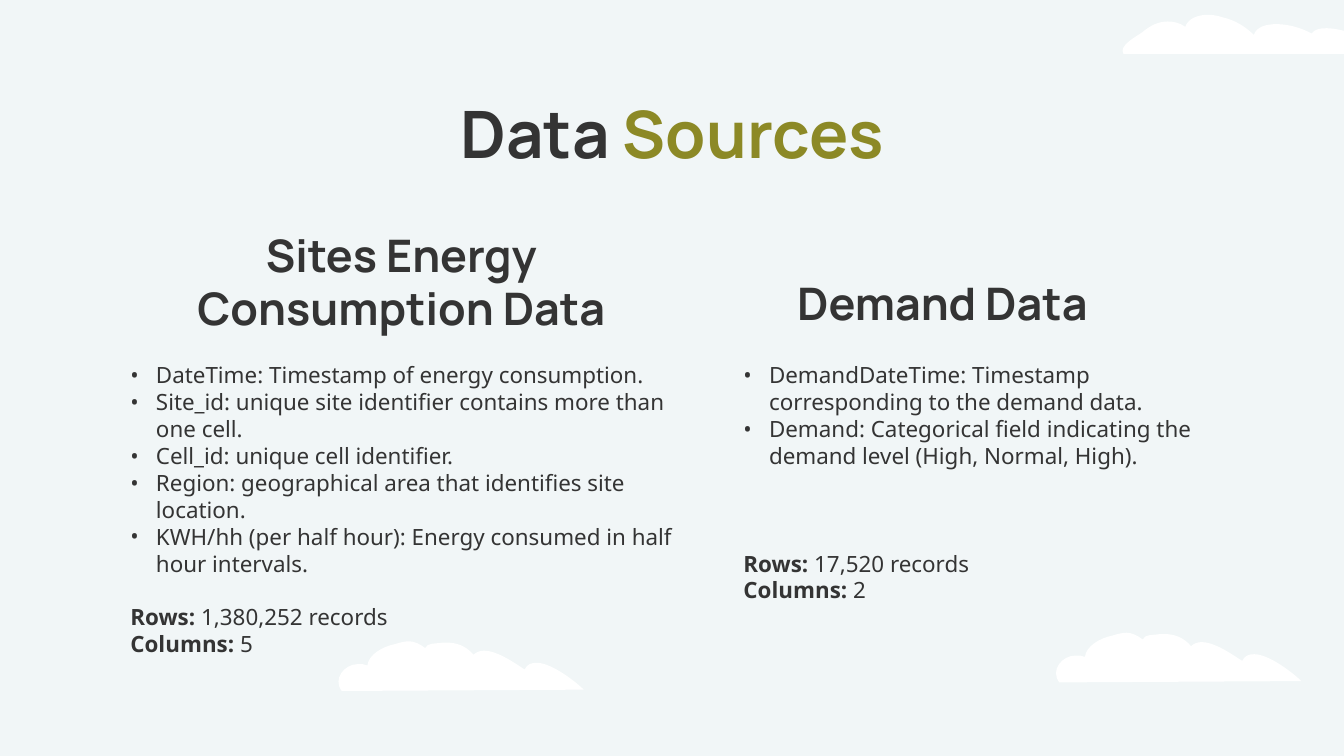
from lxml.etree import SubElement
from pptx import Presentation
from pptx.dml.color import RGBColor
from pptx.enum.text import MSO_ANCHOR as Anchor, PP_ALIGN as Align
from pptx.oxml.ns import qn
from pptx.util import Pt

SKY = RGBColor(0xF1, 0xF6, 0xF7)
INK = RGBColor(0x34, 0x34, 0x34)
OLIVE = RGBColor(0x8C, 0x89, 0x26)
WHITE = RGBColor(0xFF, 0xFF, 0xFF)

HEAD_FONT, BODY_FONT = "Manrope", "Noto Sans"
BODY_SIZE = 12
BODY_LINE = 14.4
INSET = 7.2
HANG = 13.7

# Cloud outlines in hundredths of an inch: three points make a curve, one a line
CLOUD_UNIT = 0.72
PUFFY_CLOUD = [
    [(57, 0)],
    [(54, 0), (50, 1), (47, 2)], [(37, 4), (27, 10), (26, 18)],
    [(24, 17), (22, 17), (19, 17)], [(9, 17), (0, 28), (7, 37)],
    [(187, 36)],
    [(181, 30), (163, 16), (152, 16)], [(148, 16), (145, 17), (143, 21)],
    [(134, 15), (122, 7), (113, 7)], [(110, 7), (107, 8), (105, 10)],
    [(99, 3), (92, 1), (85, 1)], [(84, 1), (83, 1), (82, 1)],
    [(76, 2), (71, 1), (69, 5)], [(65, 2), (61, 0), (57, 0)],
]
LONG_CLOUD = [
    [(67, 0)],
    [(59, 0), (52, 3), (50, 9)], [(46, 6), (41, 5), (37, 5)],
    [(30, 5), (24, 8), (18, 13)], [(14, 16), (0, 23), (4, 29)],
    [(201, 29)],
    [(194, 20), (169, 10), (155, 10)], [(150, 10), (146, 11), (144, 14)],
    [(137, 10), (127, 7), (118, 7)], [(110, 7), (103, 9), (101, 15)],
    [(95, 9), (87, 4), (78, 2)], [(75, 1), (71, 0), (67, 0)],
]


def add_frame(slide, box, anchor=Anchor.TOP):
    frame = slide.shapes.add_textbox(*map(Pt, box)).text_frame
    frame.word_wrap = True
    frame.vertical_anchor = anchor
    frame.margin_left = frame.margin_right = Pt(INSET)
    frame.margin_top = frame.margin_bottom = Pt(INSET)
    return frame


def write(frame, *runs, font=BODY_FONT, size=BODY_SIZE, align=Align.LEFT,
          bold=False, bullet=False, before=0):
    """Write one paragraph; each run is (text, overrides of bold and color)."""
    first = frame.paragraphs[0]
    line = frame.add_paragraph() if first.runs else first
    line.alignment = align
    line.space_before = Pt(before)
    if bullet:
        props = line._p.get_or_add_pPr()
        props.set("marL", str(Pt(HANG)))
        props.set("indent", str(-Pt(HANG)))
        tint = SubElement(props, qn("a:buClr"))
        SubElement(tint, qn("a:srgbClr"), val=str(INK))
        SubElement(props, qn("a:buFont"), typeface=font)
        SubElement(props, qn("a:buChar"), char="•")
    for text, look in runs:
        run = line.add_run()
        run.text = text
        run.font.name = font
        run.font.size = Pt(size)
        run.font.bold = look.get("bold", bold)
        run.font.color.rgb = look.get("color", INK)


def add_title(slide, box):
    write(add_frame(slide, box), ("Data ", {}), ("Sources", {"color": OLIVE}),
          font=HEAD_FONT, size=35, align=Align.CENTER, bold=True)


def add_source(slide, box, heading_box, heading, fields, rows, columns, gap):
    # Heading
    write(add_frame(slide, heading_box, Anchor.BOTTOM), (heading, {}),
          font=HEAD_FONT, size=24, align=Align.CENTER, bold=True)
    # Field list, then the counts after a gap given in lines
    frame = add_frame(slide, box)
    for field in fields:
        write(frame, (field, {}), bullet=True)
    write(frame, ("Rows: ", {"bold": True}), (f"{rows} records", {}),
          before=gap * BODY_LINE)
    write(frame, ("Columns: ", {"bold": True}), (columns, {}))


def add_cloud(slide, left, top, outline):
    points = [[(Pt(x * CLOUD_UNIT), Pt(y * CLOUD_UNIT)) for x, y in segment]
              for segment in outline]
    width, height = (max(p[axis] for segment in points for p in segment)
                     for axis in (0, 1))
    # Straight outline through the joints
    builder = slide.shapes.build_freeform(*points[0][0])
    builder.add_line_segments([segment[-1] for segment in points[1:]], close=True)
    cloud = builder.convert_to_shape()
    # Bend it: give the path its full box and its curves
    cloud.left, cloud.top, cloud.width, cloud.height = Pt(left), Pt(top), width, height
    path = next(cloud._element.iter(qn("a:path")))
    for step in list(path):
        path.remove(step)
    path.set("w", str(width))
    path.set("h", str(height))
    for index, segment in enumerate(points):
        tag = "a:moveTo" if index == 0 else "a:cubicBezTo" if len(segment) == 3 else "a:lnTo"
        step = SubElement(path, qn(tag))
        for x, y in segment:
            SubElement(step, qn("a:pt"), x=str(x), y=str(y))
    SubElement(path, qn("a:close"))
    cloud.shadow.inherit = False
    cloud.fill.solid()
    cloud.fill.fore_color.rgb = WHITE
    cloud.line.fill.background()


def main():
    deck = Presentation()
    deck.slide_width, deck.slide_height = Pt(720), Pt(405)
    slide = deck.slides.add_slide(deck.slide_layouts[6])
    slide.background.fill.solid()
    slide.background.fill.fore_color.rgb = SKY

    # Right heading and list
    add_source(
        slide, (391.2, 186.5, 265.7, 163.4), (372, 139.7, 265.7, 43.9),
        "Demand Data",
        ["DemandDateTime: Timestamp corresponding to the demand data.",
         "Demand: Categorical field indicating the demand level (High, Normal, High)."],
        rows="17,520", columns="2", gap=3)

    add_title(slide, (56.7, 42.5, 606.9, 45.4))

    # Left heading and list
    add_source(
        slide, (62.8, 186.5, 322.6, 186.5), (82.1, 142.6, 265.7, 43.9),
        "Sites Energy Consumption Data",
        ["DateTime: Timestamp of energy consumption.",
         "Site_id: unique site identifier contains more than one cell.",
         "Cell_id: unique cell identifier.",
         "Region: geographical area that identifies site location.",
         "KWH/hh (per half hour): Energy consumed in half hour intervals."],
        rows="1,380,252", columns="5", gap=1)

    # Clouds
    add_cloud(slide, 178.1, 343.6, PUFFY_CLOUD)
    add_cloud(slide, 599, 7.9, LONG_CLOUD)
    add_cloud(slide, 562.5, 339, PUFFY_CLOUD)

    deck.save("out.pptx")


if __name__ == "__main__":
    main()
